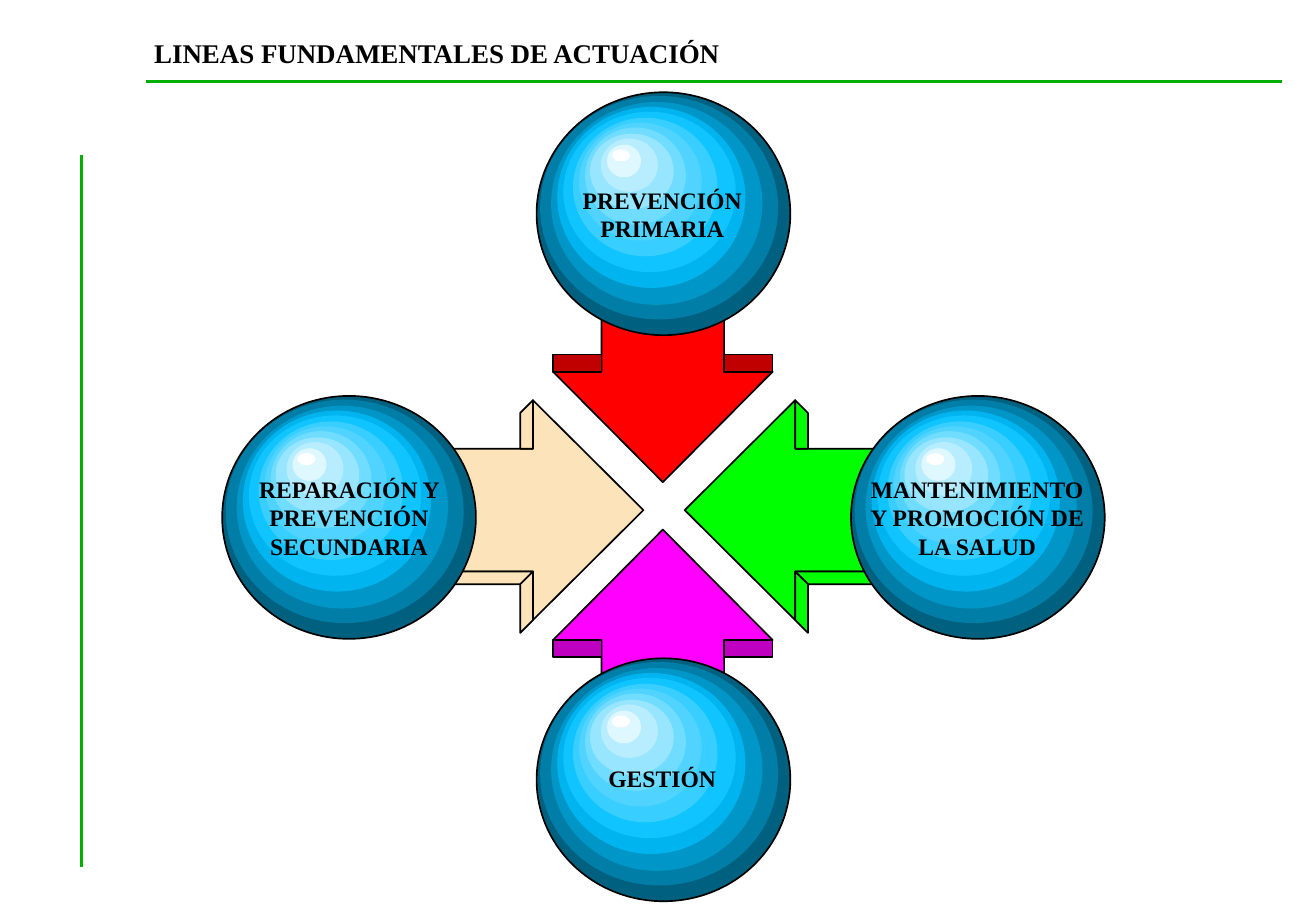
import pptx
import pptx.dml.color
import pptx.enum.shapes
import pptx.enum.text
import pptx.oxml
import pptx.util
from dataclasses import dataclass

COLUMNS, ROWS = 1084, 750
STEP = pptx.util.Inches(0.01)


@dataclass(frozen=True)
class Theme:
    font: str = "Times New Roman"
    title_size: int = 16
    label_size: int = 14
    text: str = "000000"
    outline: str = "000000"
    rule: str = "00AE00"
    outline_width: int = 1
    rule_width: int = 2


THEME = Theme()
TITLE = ("LINEAS FUNDAMENTALES DE ACTUACIÓN", (117, 25, 950, 36))
RULES = [((120, 67), (1056, 67)), ((67, 128), (67, 714))]

ARROWS = [
    ((546, 436), (0, 1), "FF00FF", "C000C0"),
    ((530, 420), (-1, 0), "FDE3BA", "FDE3BA"),
    ((564, 420), (1, 0), "00FF00", "00FF00"),
    ((546, 397), (0, -1), "FF0000", "C00000"),
]
HEAD, TAIL = 91, 241
SHAFT, WING = 50.5, 90.5
SHOULDER, CAP, DEPTH = 14, 10, 10.5

SPHERES = [
    ("PREVENCIÓN PRIMARIA", (442, 76), (450, 148, 191, 56)),
    ("MANTENIMIENTO Y PROMOCIÓN DE LA SALUD", (701, 326), (705, 386, 200, 80)),
    ("GESTIÓN", (442, 542), (400, 624, 291, 33)),
    ("REPARACIÓN Y PREVENCIÓN SECUNDARIA", (183, 326), (167, 386, 241, 80)),
]
RINGS = [
    (0, 0, 209, 200, "00607F"),
    (3, 3, 196, 184, "007EA7"),
    (12, 8, 174, 167, "0096C7"),
    (17, 12, 155, 149, "00B4EF"),
    (22, 16, 142, 132, "10C4FF"),
    (30, 21, 119, 114, "38CEFF"),
    (35, 25, 101, 97, "50D4FF"),
    (40, 29, 83, 80, "70DCFF"),
    (44, 34, 69, 62, "97E5FF"),
    (53, 38, 47, 44, "B7EDFF"),
    (58, 43, 28, 27, "DFF7FF"),
    (62, 47, 15, 10, "FFFFFF"),
]


def grid(*values):
    return [round(value * STEP) for value in values]


def rgb(color):
    return pptx.dml.color.RGBColor.from_string(color)


def paint(shape, color, outlined=True):
    shape.shadow.inherit = False
    shape.fill.solid()
    shape.fill.fore_color.rgb = rgb(color)
    if outlined:
        shape.line.color.rgb = rgb(THEME.outline)
        shape.line.width = pptx.util.Pt(THEME.outline_width)
    else:
        shape.line.fill.background()


def write(shape, text, size, alignment):
    frame = shape.text_frame
    frame.text = text
    frame.word_wrap = True
    frame.auto_size = pptx.enum.text.MSO_AUTO_SIZE.SHAPE_TO_FIT_TEXT
    frame.vertical_anchor = pptx.enum.text.MSO_ANCHOR.TOP
    frame.margin_left, frame.margin_top, frame.margin_right, frame.margin_bottom = grid(10, 5, 10, 5)
    paragraph = frame.paragraphs[0]
    paragraph.alignment = alignment
    font = paragraph.runs[0].font
    font.name = THEME.font
    font.size = pptx.util.Pt(size)
    font.bold = True
    font.color.rgb = rgb(THEME.text)


def add_title(slide):
    text, box = TITLE
    title = slide.shapes.title
    title.left, title.top, title.width, title.height = grid(*box)
    write(title, text, THEME.title_size, pptx.enum.text.PP_ALIGN.LEFT)


def add_rule(slide, start, end):
    rule = slide.shapes.add_connector(
        pptx.enum.shapes.MSO_CONNECTOR.STRAIGHT, *grid(*start, *end))
    rule.line.color.rgb = rgb(THEME.rule)
    rule.line.width = pptx.util.Pt(THEME.rule_width)
    properties = rule._element.spPr
    properties.append(properties.makeelement(pptx.oxml.ns.qn("a:effectLst"), {}))


def arrow_sides(vertical):
    if vertical:
        back = HEAD + SHOULDER
        shoulders = [
            [(HEAD, side * SHAFT), (HEAD, side * WING), (back, side * WING), (back, side * SHAFT)]
            for side in (-1, 1)
        ]
        cap = [(TAIL, -SHAFT), (TAIL, SHAFT), (TAIL + CAP, SHAFT), (TAIL + CAP, -SHAFT)]
        return [cap] + shoulders
    edges = [
        ((HEAD, SHAFT), (TAIL, SHAFT)),
        ((HEAD, SHAFT), (HEAD, WING)),
        ((TAIL, -SHAFT), (TAIL, SHAFT)),
    ]
    sides = [
        [first, last] + [(along + DEPTH, across + DEPTH) for along, across in (last, first)]
        for first, last in edges
    ]
    upper_wing = [(HEAD, -SHAFT), (HEAD, -WING),
                  (HEAD + DEPTH, DEPTH - WING), (HEAD + DEPTH, -SHAFT)]
    return sides + [upper_wing]


def add_arrow(slide, tip, direction, front, shade):
    horizontal, vertical = direction
    outline = [(0, 0), (HEAD, WING), (HEAD, SHAFT), (TAIL, SHAFT),
               (TAIL, -SHAFT), (HEAD, -SHAFT), (HEAD, -WING)]
    faces = [(outline, front)] + [(side, shade) for side in arrow_sides(vertical)]
    shapes = []
    for outline, color in faces:
        points = [
            grid(tip[0] + along * horizontal + across * abs(vertical),
                 tip[1] + along * vertical + across * abs(horizontal))
            for along, across in outline
        ]
        builder = slide.shapes.build_freeform(*points[0])
        builder.add_line_segments(points[1:], close=True)
        shape = builder.convert_to_shape()
        paint(shape, color)
        shapes.append(shape)
    slide.shapes.add_group_shape(shapes)


def add_sphere(slide, text, corner, label_box):
    group = slide.shapes.add_group_shape()
    for index, (left, top, width, height, color) in enumerate(RINGS):
        ring = group.shapes.add_shape(
            pptx.enum.shapes.MSO_SHAPE.OVAL,
            *grid(corner[0] + left, corner[1] + top, width, height))
        paint(ring, color, outlined=index == 0)
    label = group.shapes.add_textbox(*grid(*label_box))
    write(label, text, THEME.label_size, pptx.enum.text.PP_ALIGN.CENTER)


def main():
    presentation = pptx.Presentation()
    presentation.slide_width, presentation.slide_height = grid(COLUMNS, ROWS)
    slide = presentation.slides.add_slide(presentation.slide_layouts.get_by_name("Title Only"))
    add_title(slide)
    for start, end in RULES:
        add_rule(slide, start, end)
    for arrow in ARROWS:
        add_arrow(slide, *arrow)
    for sphere in SPHERES:
        add_sphere(slide, *sphere)
    presentation.save("out.pptx")


if __name__ == "__main__":
    main()
